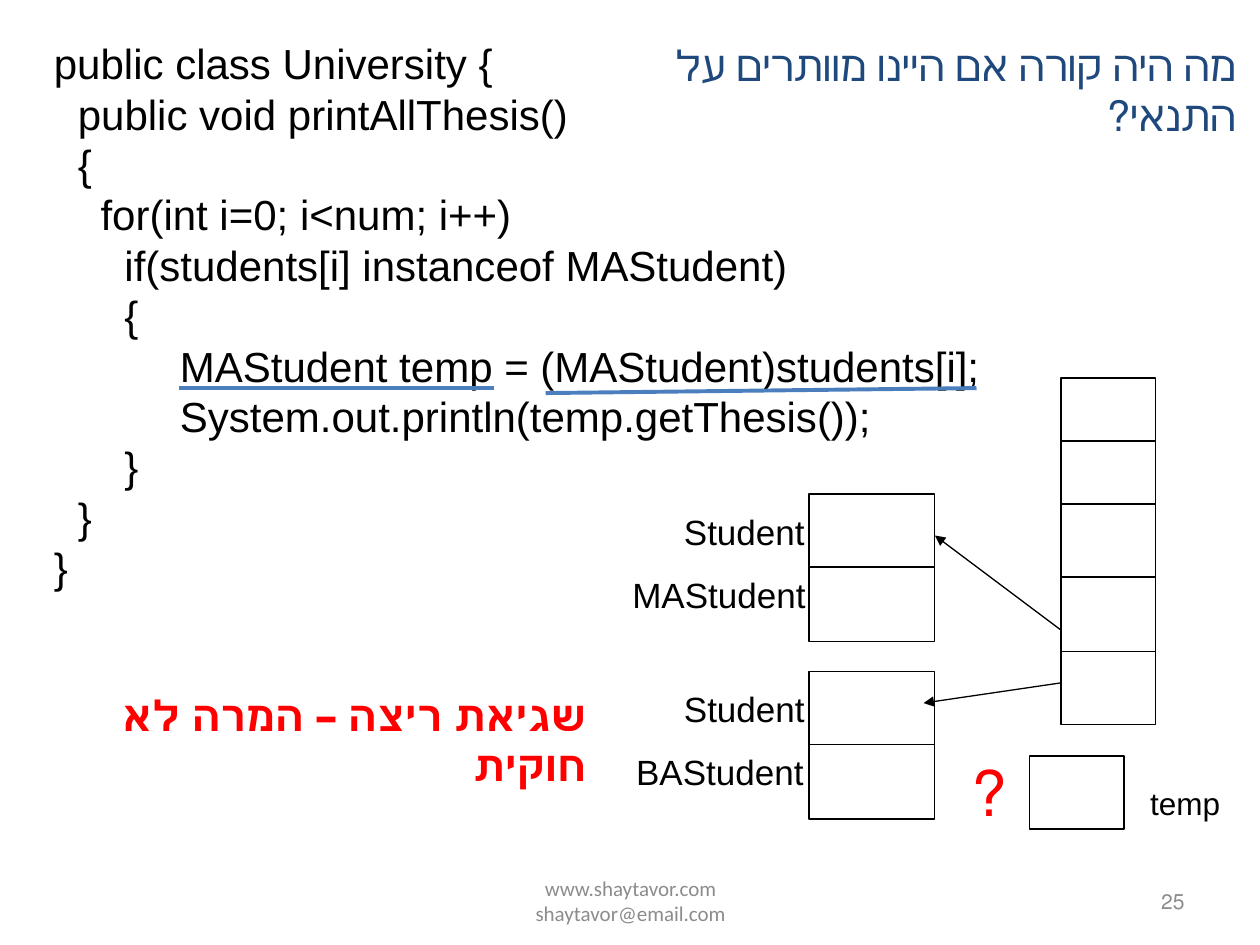
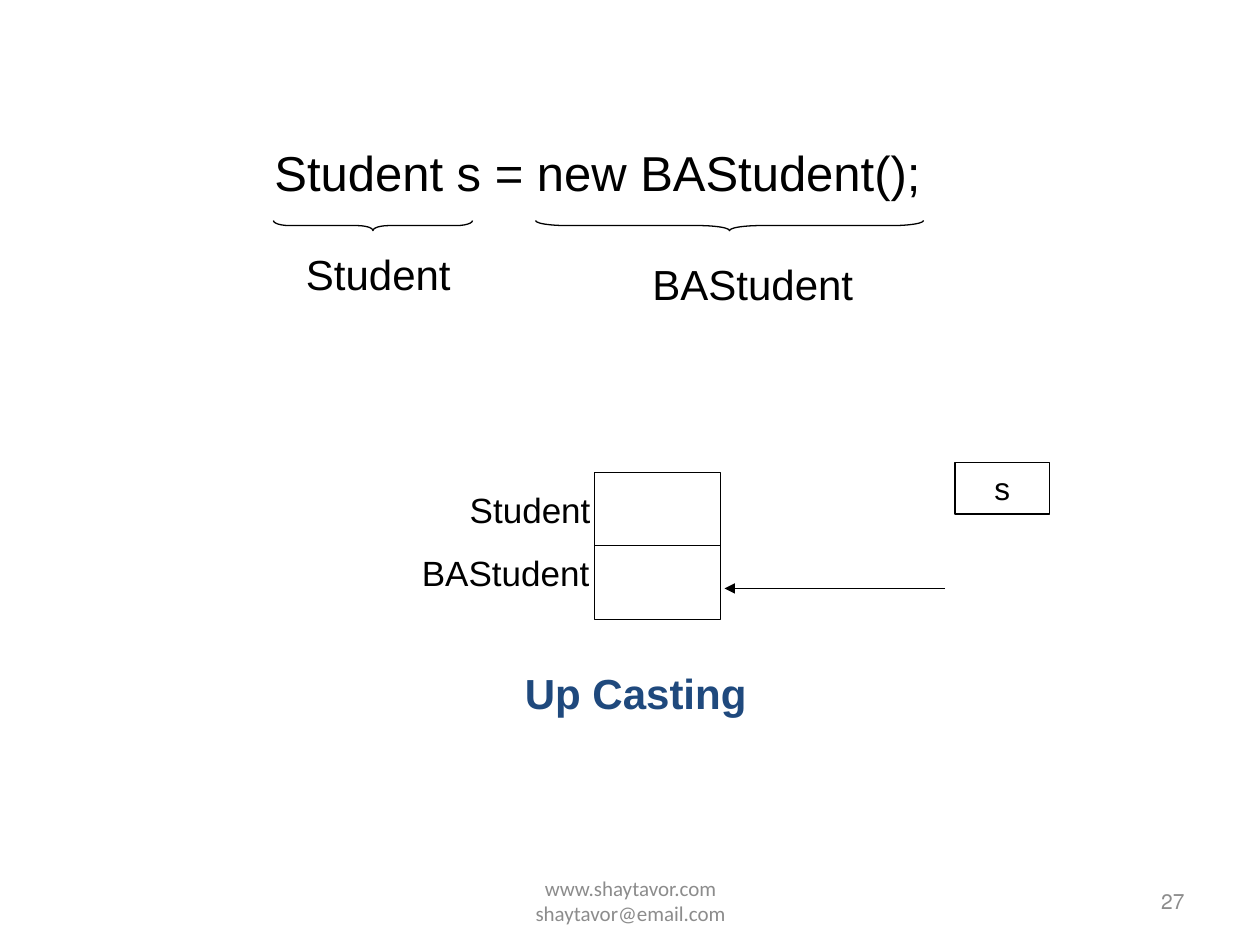
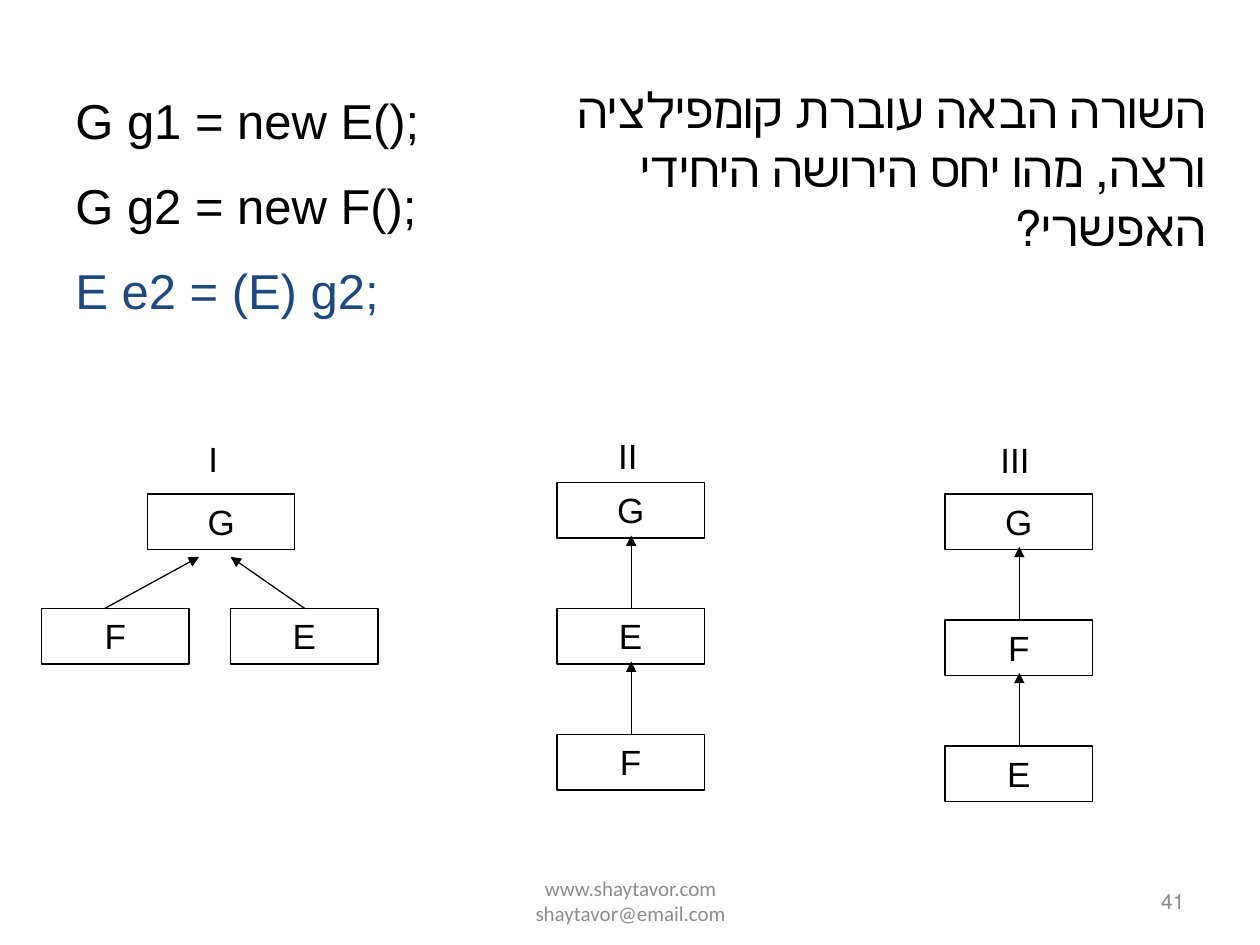
from dataclasses import dataclass

from lxml import etree
from pptx import Presentation
from pptx.dml.color import RGBColor
from pptx.enum import shapes, text
from pptx.oxml import ns
from pptx.util import Inches, Pt

# Shared style
BLACK = RGBColor(0x00, 0x00, 0x00)
NAVY = RGBColor(0x1F, 0x49, 0x7D)
RED = RGBColor(0xFF, 0x00, 0x00)
BLUE = RGBColor(0x4B, 0x7E, 0xBC)
GREY = RGBColor(0x8C, 0x8C, 0x8C)
LEFT, CENTER, RIGHT = text.PP_ALIGN.LEFT, text.PP_ALIGN.CENTER, text.PP_ALIGN.RIGHT
TITLE_ONLY, BLANK = 5, 6
FOOTER = "www.shaytavor.com\vshaytavor@email.com"


@dataclass
class Box:
    left: float
    top: float
    width: float
    height: float

    def lengths(self) -> tuple:
        return tuple(Inches(v) for v in (self.left, self.top, self.width, self.height))


@dataclass
class Style:
    size: float = 20
    color: RGBColor = BLACK
    align: text.PP_ALIGN = LEFT
    bold: bool = False
    rtl: bool = False
    font: str = "Arial"


@dataclass
class Line:
    words: str
    indent: float = 0
    color: RGBColor | None = None


@dataclass
class Chain:
    numeral: str
    numeral_box: Box
    left: float
    top: float
    classes: str  # from the base class down


LABEL = Style()
NODE = Style(align=CENTER, rtl=True)
NUMERAL = Style(align=RIGHT, rtl=True)


# Text
def write(frame, lines: list[Line], style: Style, gap: float = 0,
          anchor=text.MSO_ANCHOR.TOP) -> None:
    frame.word_wrap = True
    frame.auto_size = text.MSO_AUTO_SIZE.NONE
    frame.vertical_anchor = anchor
    for number, line in enumerate(lines):
        paragraph = frame.paragraphs[0] if number == 0 else frame.add_paragraph()
        paragraph.text = line.words
        paragraph.alignment = style.align
        paragraph.space_before = Pt(gap if number else 0)
        font = paragraph.font
        font.name, font.size, font.bold = style.font, Pt(style.size), style.bold
        font.color.rgb = line.color or style.color
        properties = paragraph._p.get_or_add_pPr()
        if style.rtl:
            properties.set("rtl", "1")
        if line.indent:
            properties.set("marL", str(Inches(line.indent)))


def add_text(slide, box: Box, lines: list[Line] | str, style: Style, gap: float = 0,
             anchor=text.MSO_ANCHOR.TOP) -> None:
    if isinstance(lines, str):
        lines = [Line(lines)]
    write(slide.shapes.add_textbox(*box.lengths()).text_frame, lines, style, gap, anchor)


def set_title(slide, box: Box, words: str, style: Style) -> None:
    title = slide.shapes.title
    title.left, title.top, title.width, title.height = box.lengths()
    write(title.text_frame, [Line(words)], style)


# Outlines and lines
def add_outline(slide, box: Box, kind=shapes.MSO_SHAPE.RECTANGLE):
    outline = slide.shapes.add_shape(kind, *box.lengths())
    outline.shadow.inherit = False
    outline.fill.background()
    outline.line.color.rgb = BLACK
    outline.line.width = Pt(0.75)
    return outline


def add_line(slide, start: tuple[float, float], end: tuple[float, float],
             color: RGBColor = BLACK, width: float = 0.75, arrow: bool = False) -> None:
    line = slide.shapes.add_connector(
        shapes.MSO_CONNECTOR.STRAIGHT, *(Inches(v) for v in (*start, *end)))
    line.line.color.rgb = color
    line.line.width = Pt(width)
    if arrow:
        etree.SubElement(line.line._get_or_add_ln(), ns.qn("a:tailEnd"), type="triangle")
    etree.SubElement(line._element.spPr, ns.qn("a:effectLst"))


def add_cells(slide, box: Box, dividers: list[float]) -> None:
    """Draw a box split by horizontal lines at the given heights."""
    add_outline(slide, box)
    for y in dividers:
        add_line(slide, (box.left, y), (box.left + box.width, y))


def add_object(slide, left: float, top: float, subclass: str, label_left: float) -> None:
    """Draw an object in memory: a Student part above a subclass part."""
    add_cells(slide, Box(left, top, 1, 1.17), [top + 0.58])
    add_text(slide, Box(left - 1.09, top + 0.08, 1.17, 0.43), "Student", LABEL)
    add_text(slide, Box(label_left, top + 0.58, 1.67, 0.43), subclass, LABEL)


def add_node(slide, left: float, top: float, name: str, width: float = 1.17,
             height: float = 0.44, style: Style = NODE) -> None:
    node = add_outline(slide, Box(left, top, width, height))
    write(node.text_frame, [Line(name)], style)


def add_brace(slide, left: float, top: float, span: float) -> None:
    """Draw a brace that opens upwards over the given span."""
    depth = 0.08
    box = Box(left + (span - depth) / 2, top - (span - depth) / 2, depth, span)
    brace = add_outline(slide, box, shapes.MSO_SHAPE.LEFT_BRACE)
    brace.rotation = 270
    brace.adjustments[0] = span
    brace.adjustments[1] = 0.5


def add_chain(slide, chain: Chain) -> None:
    middle = chain.left + 0.59
    for level, name in enumerate(chain.classes):
        top = chain.top + level
        add_node(slide, chain.left, top, name)
        if level:
            add_line(slide, (middle, top), (middle, top - 0.58), arrow=True)
    add_text(slide, chain.numeral_box, chain.numeral, NUMERAL)


def new_slide(deck, layout: int, number: int):
    slide = deck.slides.add_slide(deck.slide_layouts[layout])
    middle = text.MSO_ANCHOR.MIDDLE
    add_text(slide, Box(3.42, 6.95, 3.17, 0.4), FOOTER,
             Style(12, GREY, CENTER, rtl=True, font="Calibri"), anchor=middle)
    add_text(slide, Box(9.06, 6.95, 0.44, 0.4), str(number),
             Style(12, GREY, RIGHT, rtl=True, font="Calibri"), anchor=middle)
    return slide


deck = Presentation()
deck.slide_width, deck.slide_height = Inches(10), Inches(7.5)

# Slide 1: the cast without its condition
cast = new_slide(deck, TITLE_ONLY, 25)
set_title(cast, Box(5.08, 0.26, 4.83, 0.91), "מה היה קורה אם היינו מוותרים על התנאי?",
          Style(24, NAVY, RIGHT, rtl=True))
add_cells(cast, Box(8.42, 3, 0.75, 2.75), [3.5, 4, 4.58, 5.17])
add_object(cast, 6.42, 3.92, "MAStudent", 4.92)
add_object(cast, 6.42, 5.33, "BAStudent", 4.95)
add_line(cast, (8.42, 5), (7.42, 4.25), arrow=True)
add_line(cast, (8.42, 5.42), (7.33, 5.58), arrow=True)
add_outline(cast, Box(8.17, 6, 0.75, 0.58))
add_text(cast, Box(9.03, 6.17, 0.92, 0.4), "temp", Style(18))
add_text(cast, Box(7.42, 5.93, 0.67, 0.71), "?", Style(36, RED, RIGHT, rtl=True))
add_text(cast, Box(0.33, 5.42, 4.42, 0.5), "שגיאת ריצה – המרה לא חוקית",
         Style(24, RED, RIGHT, bold=True, rtl=True))
code = [
    Line("public class University {"),
    Line("public void printAllThesis()", 0.19),
    Line("{", 0.19),
    Line("for(int i=0; i<num; i++)", 0.37),
    Line("if(students[i] instanceof MAStudent)", 0.56),
    Line("{", 0.56),
    Line("MAStudent temp = (MAStudent)students[i];", 1),
    Line("System.out.println(temp.getThesis());", 1),
    Line("}", 0.56),
    Line("}", 0.19),
    Line("}"),
]
add_text(cast, Box(0.33, 0.25, 9.17, 4.49), code, Style(24))
add_line(cast, (1.42, 3.08), (3.92, 3.08), BLUE, 2.25)
add_line(cast, (4.33, 3.12), (7.75, 3.08), BLUE, 2.25)

# Slide 2: up casting
upcast = new_slide(deck, BLANK, 27)
add_text(upcast, Box(2.08, 1.08, 6.42, 0.57), "Student s = new BAStudent();", Style(28))
add_brace(upcast, 2.17, 1.75, 1.58)
add_brace(upcast, 4.25, 1.75, 3.08)
add_text(upcast, Box(2.33, 1.92, 1.67, 0.5), "Student", Style(24))
add_text(upcast, Box(5.08, 2, 1.92, 0.5), "BAStudent", Style(24))
add_object(upcast, 4.72, 3.75, "BAStudent", 3.25)
add_line(upcast, (7.5, 4.67), (5.75, 4.67), arrow=True)
add_node(upcast, 7.58, 3.67, "s", 0.75, 0.41, Style(18, align=CENTER, rtl=True))
add_text(upcast, Box(2.92, 5.25, 4.25, 0.5), "Up Casting",
         Style(24, NAVY, CENTER, bold=True, rtl=True))

# Slide 3: which inheritance is possible
quiz = new_slide(deck, TITLE_ONLY, 41)
set_title(quiz, Box(3.75, 0.58, 5.92, 1.03),
          "השורה הבאה עוברת קומפילציה ורצה, מהו יחס הירושה היחידי האפשרי?",
          Style(28, align=RIGHT, rtl=True))
add_text(quiz, Box(0.5, 0.67, 5.58, 1.97),
         [Line("G g1 = new E();"), Line("G g2 = new F();"),
          Line("E e2 = (E) g2;", color=NAVY)], Style(28), gap=15)

# Option I: two siblings
add_text(quiz, Box(1, 3.42, 0.83, 0.43), "I", NUMERAL)
add_node(quiz, 1.17, 3.92, "G")
add_node(quiz, 0.33, 4.83, "F")
add_node(quiz, 1.83, 4.83, "E")
add_line(quiz, (0.83, 4.83), (1.58, 4.42), arrow=True)
add_line(quiz, (2.42, 4.83), (1.83, 4.42), arrow=True)

# Options II and III: chains
for option in (Chain("II", Box(4.33, 3.4, 0.83, 0.43), 4.42, 3.83, "GEF"),
               Chain("III", Box(7.44, 3.43, 0.83, 0.43), 7.5, 3.92, "GFE")):
    add_chain(quiz, option)

deck.save("out.pptx")
